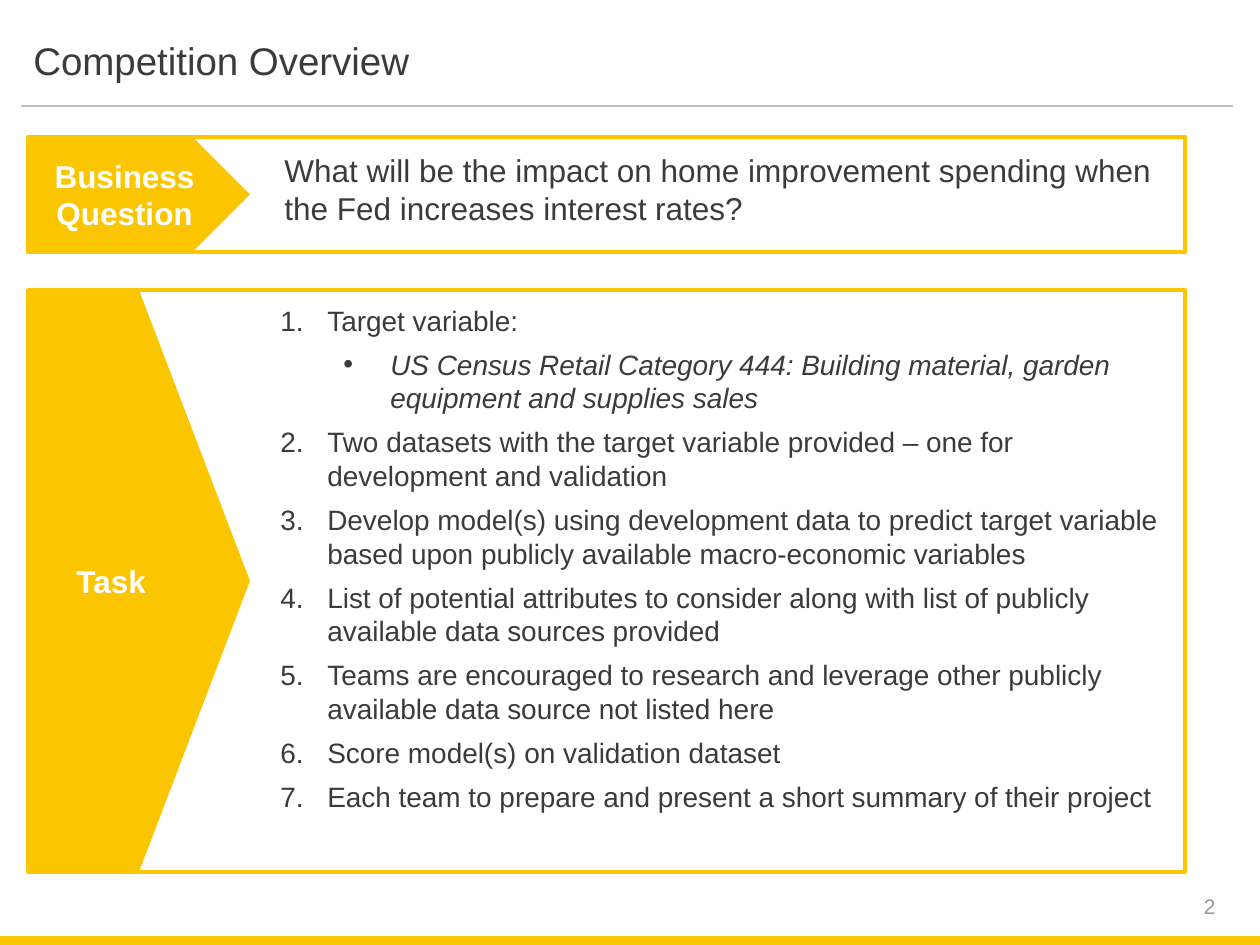
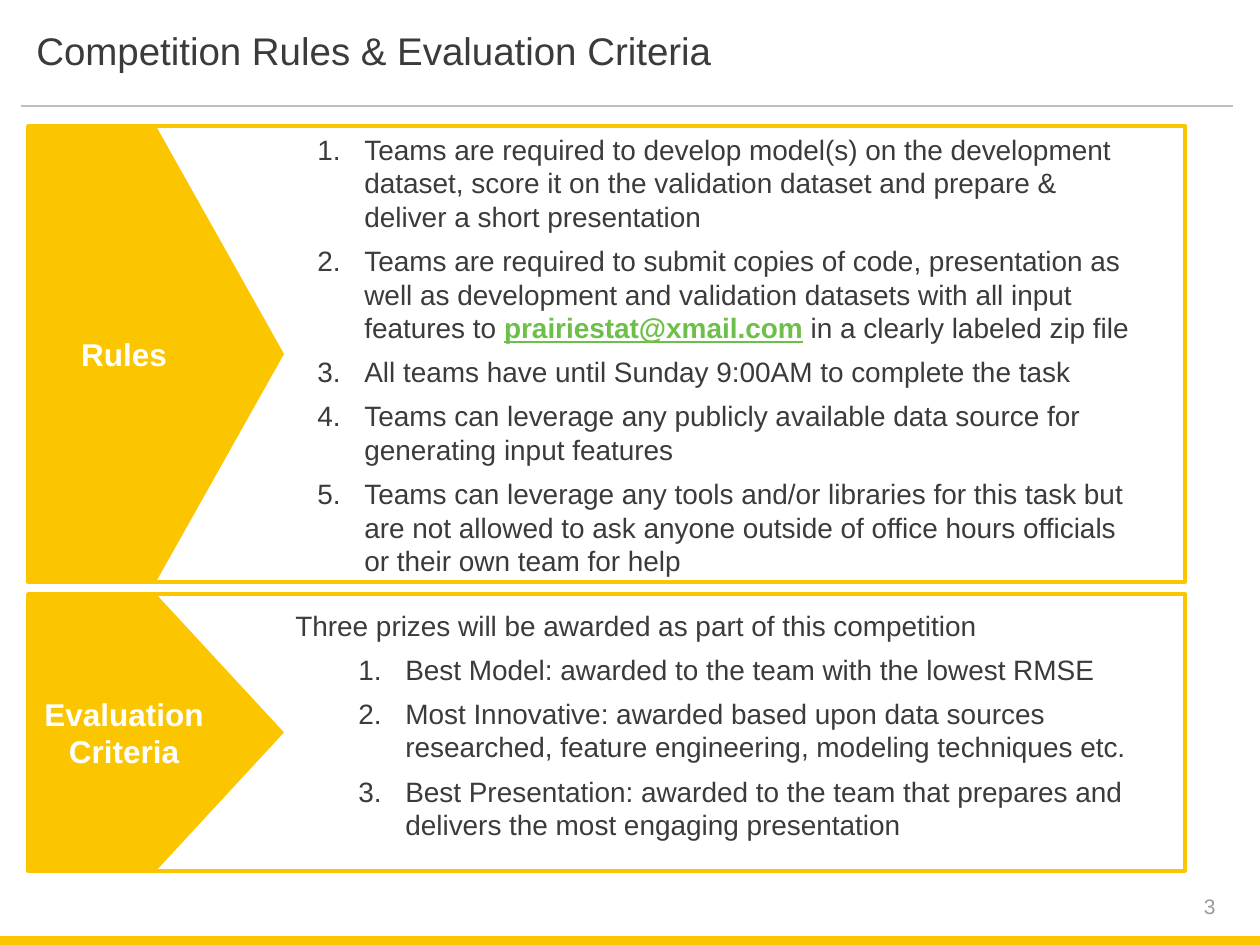
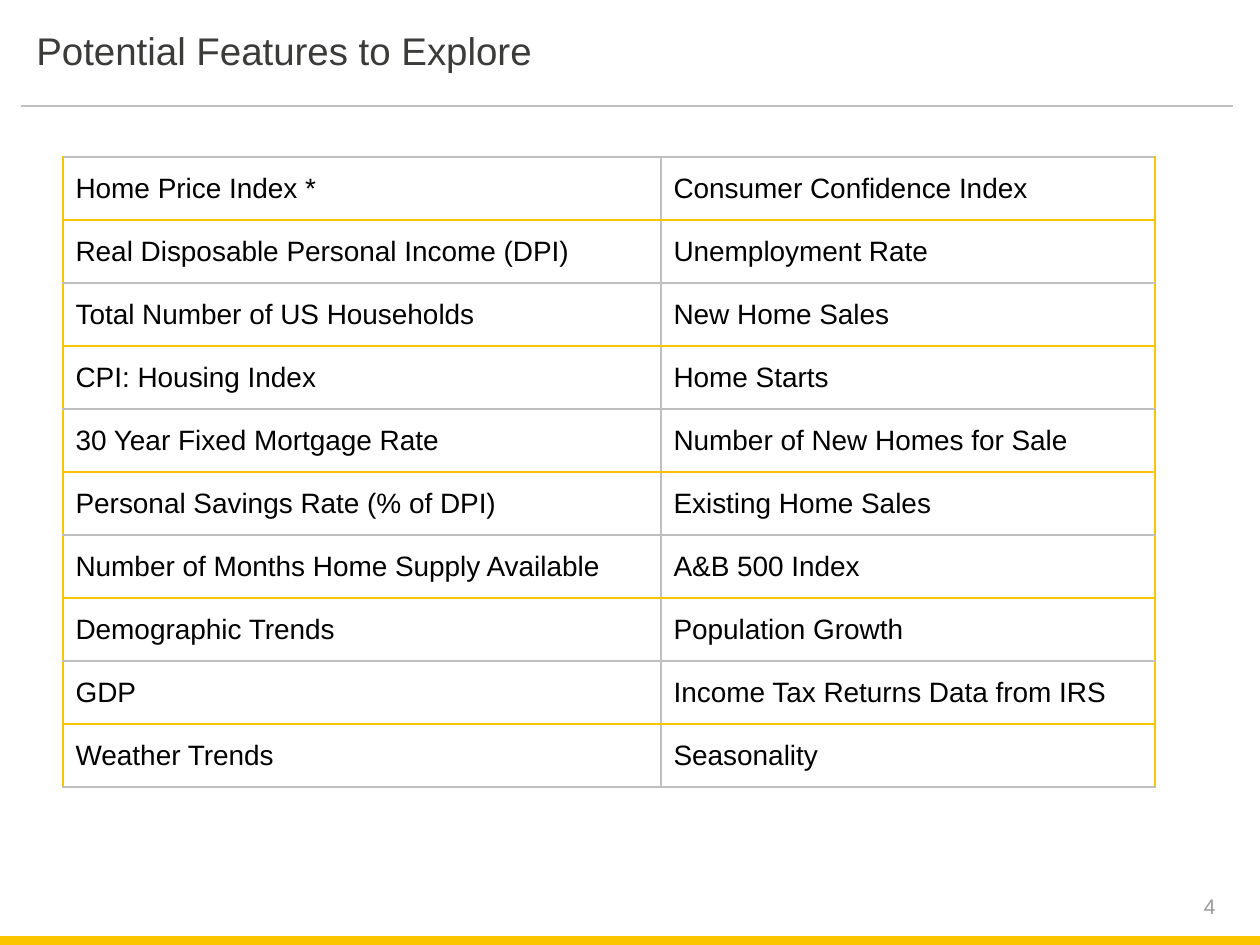
"""Build three slides on a modelling competition: overview, rules and features."""
from dataclasses import dataclass

from lxml import etree
from pptx import Presentation
from pptx.dml.color import RGBColor
from pptx.enum.shapes import MSO_CONNECTOR, MSO_SHAPE
from pptx.enum.text import MSO_ANCHOR, PP_ALIGN
from pptx.oxml.ns import qn
from pptx.util import Pt

RECTANGLE, PENTAGON = MSO_SHAPE.RECTANGLE, MSO_SHAPE.PENTAGON
STRAIGHT = MSO_CONNECTOR.STRAIGHT
MIDDLE = MSO_ANCHOR.MIDDLE
CENTER, RIGHT = PP_ALIGN.CENTER, PP_ALIGN.RIGHT
EMU_PER_PX = 914400 / 126


@dataclass(frozen=True)
class Theme:
    font: str = "Arial"
    gold: str = "FBC600"
    ink: str = "3B3C39"
    rule: str = "BFBFBF"
    muted: str = "9A999B"
    link: str = "6EBF4A"
    white: str = "FFFFFF"
    black: str = "000000"
    title: int = 22
    lead: int = 18
    body: int = 16
    small: int = 12


THEME = Theme()
SLIDE_W, SLIDE_H = 1260, 945
PANEL_LEFT, PANEL_W = 28, 1157
HANGING = 47
EMAIL = "prairiestat@xmail.com"

ITEM_STYLES = {
    "plain": {"level": 0, "margin": 0, "mark": None},
    "number": {"level": 0, "margin": 47, "mark": "number"},
    "sub_number": {"level": 1, "margin": 110, "mark": "number"},
    "sub_bullet": {"level": 1, "margin": 110, "mark": "bullet"},
}

OVERVIEW = [
    {"label": "Business Question", "top": 137, "height": 115, "arrow": 222,
     "text_box": (272, 145, 912, 89), "size": THEME.lead, "items": [
         ("plain", "What will be the impact on home improvement spending when "
                   "the Fed increases interest rates?")]},
    {"label": "Task", "top": 290, "height": 582, "arrow": 222,
     "text_box": (268, 297, 905, 528), "size": THEME.body, "items": [
         ("number", "Target variable:"),
         ("sub_bullet", "US Census Retail Category 444: Building material, garden "
                        "equipment and supplies sales"),
         ("number", "Two datasets with the target variable provided – one for "
                    "development and validation"),
         ("number", "Develop model(s) using development data to predict target variable "
                    "based upon publicly available macro-economic variables"),
         ("number", "List of potential attributes to consider along with list of publicly "
                    "available data sources provided"),
         ("number", "Teams are encouraged to research and leverage other publicly "
                    "available data source not listed here"),
         ("number", "Score model(s) on validation dataset"),
         ("number", "Each team to prepare and present a short summary of their project")]},
]

RULES = [
    {"label": "Rules", "top": 126, "height": 456, "arrow": 256,
     "text_box": (305, 126, 848, 462), "size": THEME.body, "items": [
         ("number", "Teams are required to develop model(s) on the development dataset, "
                    "score it on the validation dataset and prepare & deliver a short "
                    "presentation"),
         ("number", "Teams are required to submit copies of code, presentation as well as "
                    "development and validation datasets with all input features to "
                    f"{EMAIL} in a clearly labeled zip file"),
         ("number", "All teams have until Sunday 9:00AM to complete the task"),
         ("number", "Teams can leverage any publicly available data source for "
                    "generating input features"),
         ("number", "Teams can leverage any tools and/or libraries for this task but are "
                    "not allowed to ask anyone outside of office hours officials or their "
                    "own team for help")]},
    {"label": "Evaluation Criteria", "top": 594, "height": 277, "arrow": 256,
     "text_box": (283, 602, 870, 248), "size": THEME.body, "items": [
         ("plain", "Three prizes will be awarded as part of this competition"),
         ("sub_number", "Best Model: awarded to the team with the lowest RMSE"),
         ("sub_number", "Most Innovative: awarded based upon data sources researched, "
                        "feature engineering, modeling techniques etc."),
         ("sub_number", "Best Presentation: awarded to the team that prepares and "
                        "delivers the most engaging presentation")]},
]

FEATURES = [
    ("Home Price Index *", "Consumer Confidence Index"),
    ("Real Disposable Personal Income (DPI)", "Unemployment Rate"),
    ("Total Number of US Households", "New Home Sales"),
    ("CPI: Housing Index", "Home Starts"),
    ("30 Year Fixed Mortgage Rate", "Number of New Homes for Sale"),
    ("Personal Savings Rate (% of DPI)", "Existing Home Sales"),
    ("Number of Months Home Supply Available", "A&B 500 Index"),
    ("Demographic Trends", "Population Growth"),
    ("GDP", "Income Tax Returns Data from IRS"),
    ("Weather Trends", "Seasonality"),
]
FEATURE_COLUMNS = (598, 494)
FEATURE_ROW = 63
FEATURE_ORIGIN = (63, 157)


def px(*lengths):
    return [round(length * EMU_PER_PX) for length in lengths]


def rgb(code):
    return RGBColor.from_string(code)


def style_runs(paragraph, size, color, bold=False, italic=False):
    for run in paragraph.runs:
        font = run.font
        font.name, font.size, font.bold, font.italic = THEME.font, Pt(size), bold, italic
        font.color.rgb = rgb(color)


def add_text(slide, box, text, size, color):
    frame = slide.shapes.add_textbox(*px(*box)).text_frame
    frame.word_wrap = True
    frame.text = text
    style_runs(frame.paragraphs[0], size, color)
    return frame


def add_block(slide, preset, box, fill=None, outline=None):
    block = slide.shapes.add_shape(preset, *px(*box))
    block.shadow.inherit = False
    if fill:
        block.fill.solid()
        block.fill.fore_color.rgb = rgb(fill)
    else:
        block.fill.background()
    if outline:
        block.line.color.rgb = rgb(outline)
        block.line.width = Pt(2)
    else:
        block.line.fill.background()
    return block


def mark_item(paragraph, style):
    paragraph.level = style["level"]
    paragraph.space_after = Pt(6)
    if not style["mark"]:
        return
    margin, indent = px(style["margin"], -HANGING)
    properties = paragraph._p.get_or_add_pPr()
    properties.set("marL", str(margin))
    properties.set("indent", str(indent))
    etree.SubElement(properties, qn("a:buFont"), typeface=THEME.font)
    if style["mark"] == "number":
        etree.SubElement(properties, qn("a:buAutoNum"), type="arabicPeriod")
    else:
        etree.SubElement(properties, qn("a:buChar"), char="•")


def add_items(slide, box, items, size):
    frame = slide.shapes.add_textbox(*px(*box)).text_frame
    frame.word_wrap = True
    for index, (kind, text) in enumerate(items):
        paragraph = frame.paragraphs[0] if index == 0 else frame.add_paragraph()
        for part in filter(None, text.partition(EMAIL)):
            paragraph.add_run().text = part
        style_runs(paragraph, size, THEME.ink, italic=kind == "sub_bullet")
        for run in paragraph.runs:
            if run.text == EMAIL:
                run.font.bold = run.font.underline = True
                run.font.color.rgb = rgb(THEME.link)
        mark_item(paragraph, ITEM_STYLES[kind])


def add_panel(slide, panel):
    top, height = panel["top"], panel["height"]
    add_items(slide, panel["text_box"], panel["items"], panel["size"])
    arrow = add_block(slide, PENTAGON, (PANEL_LEFT, top, panel["arrow"], height),
                      fill=THEME.gold)
    frame = arrow.text_frame
    frame.word_wrap = True
    frame.vertical_anchor = MIDDLE
    frame.text = panel["label"]
    frame.paragraphs[0].alignment = CENTER
    style_runs(frame.paragraphs[0], THEME.lead, THEME.white, bold=True)
    add_block(slide, RECTANGLE, (PANEL_LEFT, top, PANEL_W, height), outline=THEME.gold)


def add_panels(slide, panels):
    for panel in panels:
        add_panel(slide, panel)


def set_border(cell, side, color, width):
    line = etree.SubElement(cell._tc.get_or_add_tcPr(), qn(f"a:{side}"), w=str(Pt(width)))
    fill = etree.SubElement(line, qn("a:solidFill"))
    etree.SubElement(fill, qn("a:srgbClr"), val=color)


def add_features(slide, features):
    size = (sum(FEATURE_COLUMNS), FEATURE_ROW * len(features))
    table = slide.shapes.add_table(len(features), len(FEATURE_COLUMNS),
                                   *px(*FEATURE_ORIGIN, *size)).table
    table.first_row = table.horz_banding = False
    for column, width in zip(table.columns, px(*FEATURE_COLUMNS)):
        column.width = width
    row_edges = (THEME.rule, THEME.gold)
    side = (THEME.gold, 1)
    divider = (THEME.rule, 0.75)
    for row, names in enumerate(features):
        for column, name in enumerate(names):
            cell = table.cell(row, column)
            cell.text = name
            cell.vertical_anchor = MIDDLE
            style_runs(cell.text_frame.paragraphs[0], THEME.body, THEME.black)
            set_border(cell, "lnL", *(side if column == 0 else divider))
            set_border(cell, "lnR", *(divider if column == 0 else side))
            set_border(cell, "lnT", row_edges[row % 2], 0.75)
            set_border(cell, "lnB", row_edges[(row + 1) % 2], 0.75)
            cell.fill.background()


def add_frame(slide, title, title_at, number):
    page = add_text(slide, (895, 887, 333, 38), str(number), THEME.small, THEME.muted)
    page.paragraphs[0].alignment = RIGHT
    add_block(slide, RECTANGLE, (0, 936, SLIDE_W, 9), fill=THEME.gold)
    rule = slide.shapes.add_connector(STRAIGHT, *px(21, 106, 1233, 106))
    rule.line.color.rgb = rgb(THEME.rule)
    rule.line.width = Pt(0.75)
    etree.SubElement(rule._element.spPr, qn("a:effectLst"))
    heading = add_text(slide, (*title_at, 1210, 62), title, THEME.title, THEME.ink)
    heading.vertical_anchor = MIDDLE
    heading.paragraphs[0].line_spacing = 0.9


SLIDES = [
    ("Competition Overview", (21, 32), add_panels, OVERVIEW),
    ("Competition Rules & Evaluation Criteria", (24, 22), add_panels, RULES),
    ("Potential Features to Explore", (24, 22), add_features, FEATURES),
]


def main():
    deck = Presentation()
    deck.slide_width, deck.slide_height = px(SLIDE_W, SLIDE_H)
    blank = deck.slide_layouts[6]
    for number, (title, title_at, fill_slide, content) in enumerate(SLIDES, start=2):
        slide = deck.slides.add_slide(blank)
        add_frame(slide, title, title_at, number)
        fill_slide(slide, content)
    deck.save("out.pptx")


if __name__ == "__main__":
    main()
